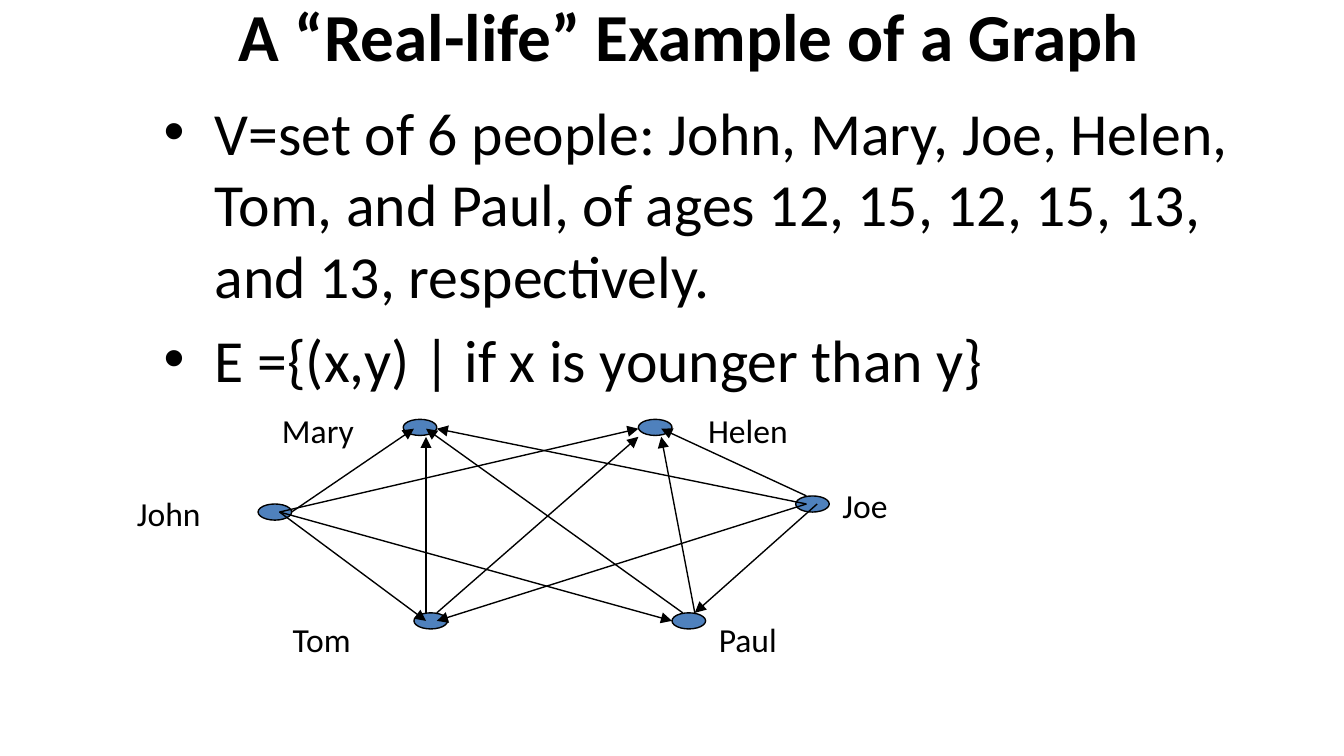
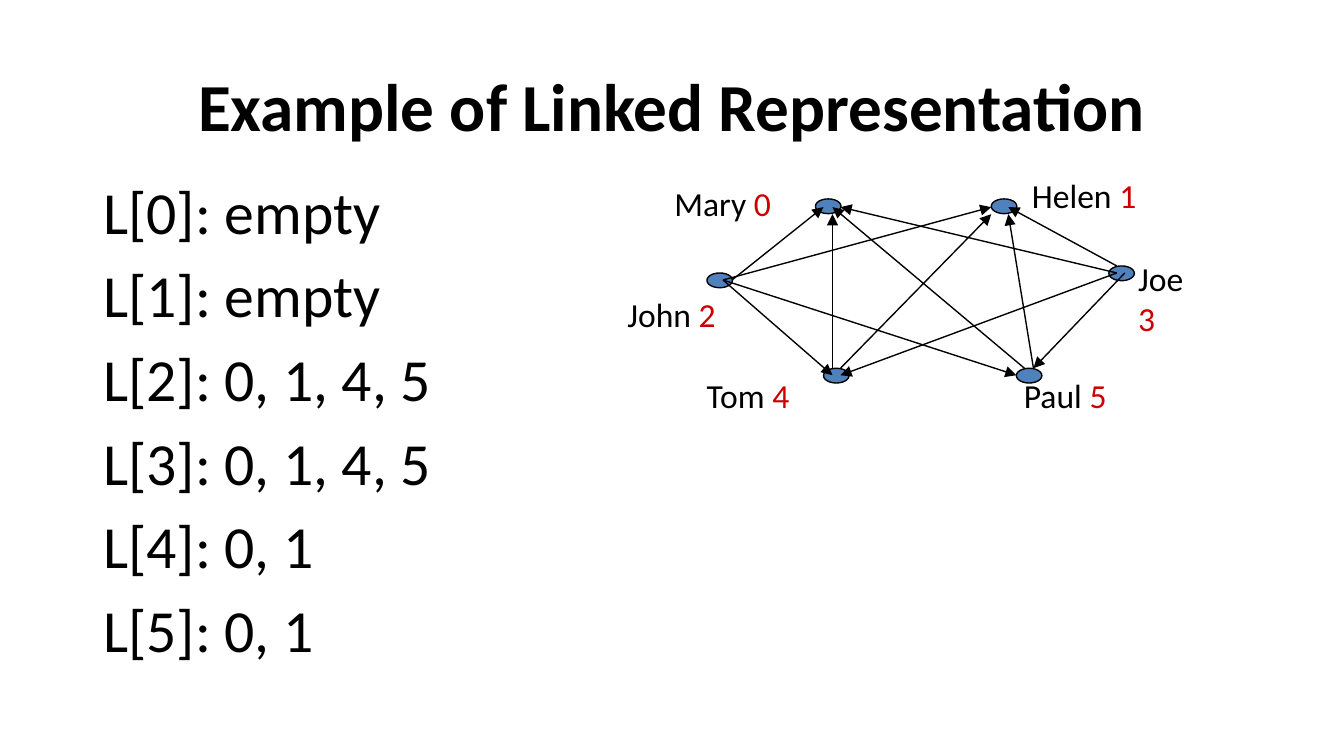
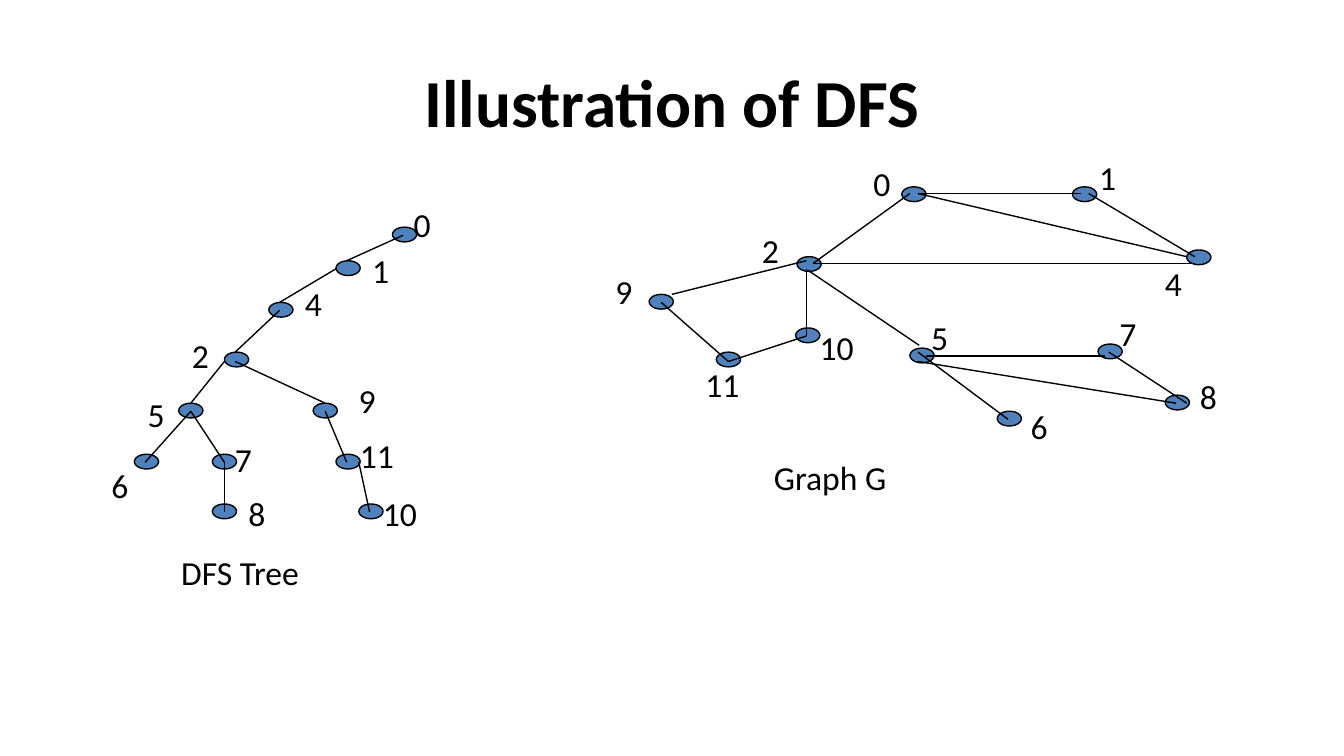
from lxml import etree
from pptx import Presentation
from pptx import util as u
from pptx.dml.color import RGBColor
from pptx.enum import shapes, text
from pptx.oxml import ns

# Shared style
FONT = "Calibri"
BLACK = RGBColor(0x00, 0x00, 0x00)
BLUE = RGBColor(0x4F, 0x81, 0xBD)
RED = RGBColor(0xCC, 0x00, 0x00)
TITLE_SIZE, BODY_SIZE, LABEL_SIZE = 36, 32, 18
LINE_WIDTH = u.Pt(0.75)
HANG = u.Inches(0.38)
LABEL_HEIGHT = 0.4

# Age graph: top left corner of each person's dot, in number order
PEOPLE = {
    "Mary": (3, 3.12), "Helen": (4.75, 3.12), "John": (1.92, 3.75),
    "Joe": (5.92, 3.69), "Tom": (3.08, 4.56), "Paul": (5, 4.56),
}
# Arrows from the younger to the older person
YOUNGER_THAN = [
    ((2.17, 3.81), (3.08, 3.19)), ((2.08, 3.81), (4.75, 3.19)),
    ((6, 3.69), (4.92, 3.19)), ((6, 3.75), (3.25, 3.19)),
    ((2.08, 3.81), (3.17, 4.62)), ((2.08, 3.81), (5, 4.62)),
    ((6, 3.75), (3.25, 4.62)), ((6.08, 3.75), (5.17, 4.56)),
    ((3.17, 4.56), (3.17, 3.25)), ((5.17, 4.56), (4.92, 3.25)),
    ((3.25, 4.56), (4.75, 3.25)), ((5.08, 4.56), (3.17, 3.19)),
]
# Label boxes: left, top, width
NAME_LABELS = {
    "Mary": (2, 3, 0.74), "Helen": (5.17, 3, 0.8), "John": (0.92, 3.62, 0.68),
    "Joe": (6.17, 3.56, 0.54), "Tom": (2.08, 4.56, 0.64), "Paul": (5.25, 4.56, 0.64),
}
NUMBERED_LABELS = {
    "Mary": (4.92, 1.31, 0.93), "Helen": (7.58, 1.25, 0.99), "John": (4.57, 2.14, 0.87),
    "Joe": (8.37, 1.87, 0.67), "Tom": (5.16, 2.74, 0.82), "Paul": (7.52, 2.74, 1.04),
}
WRAPPED_LABELS = ("Joe", "Paul")

# Graph G and its DFS tree: number -> (dot corner, label corner)
GRAPH_NODES = {
    0: ((6.71, 1.39), (6.4, 1.16)), 1: ((7.98, 1.39), (8.08, 1.12)),
    2: ((5.93, 1.91), (5.57, 1.66)), 4: ((8.83, 1.86), (8.57, 1.91)),
    5: ((6.77, 2.59), (6.83, 2.31)), 6: ((7.42, 3.06), (7.57, 2.97)),
    7: ((8.17, 2.56), (8.23, 2.28)), 8: ((8.67, 2.94), (8.83, 2.75)),
    9: ((4.83, 2.19), (4.48, 1.97)), 10: ((5.92, 2.44), (6, 2.38)),
    11: ((5.33, 2.62), (5.15, 2.66)),
}
GRAPH_EDGES = [
    ((6.83, 1.44), (8.04, 1.44)), ((6.05, 1.96), (8.89, 1.96)),
    ((6.05, 1.96), (6.77, 1.44)), ((8.1, 1.44), (8.89, 1.91)),
    ((6.89, 2.65), (8.22, 2.65)), ((6.83, 1.44), (8.83, 1.91)),
    ((6.84, 2.57), (6.01, 2.01)), ((8.25, 2.62), (8.83, 3)),
    ((6.83, 2.62), (7.5, 3.12)), ((6.83, 2.69), (8.75, 3)),
    ((6, 1.94), (5, 2.19)), ((6, 2), (6, 2.5)),
    ((4.92, 2.25), (5.42, 2.69)), ((6, 2.5), (5.42, 2.69)),
]
TREE_NODES = {
    0: ((2.92, 1.69), (2.98, 1.47)), 1: ((2.5, 1.94), (2.67, 1.81)),
    4: ((2, 2.25), (2.17, 2.06)), 2: ((1.67, 2.62), (1.33, 2.44)),
    5: ((1.33, 3), (1, 2.88)), 9: ((2.33, 3), (2.57, 2.78)),
    6: ((1, 3.38), (0.73, 3.41)), 7: ((1.58, 3.38), (1.65, 3.22)),
    8: ((1.58, 3.75), (1.75, 3.62)), 11: ((2.5, 3.38), (2.58, 3.19)),
    10: ((2.67, 3.75), (2.75, 3.62)),
}
TREE_EDGES = [
    ((2.58, 1.94), (3, 1.75)), ((2.08, 2.25), (2.5, 2)),
    ((2.08, 2.31), (1.75, 2.62)), ((1.42, 3), (1.67, 2.69)),
    ((1.08, 3.44), (1.42, 3.06)), ((1.42, 3.06), (1.67, 3.44)),
    ((1.67, 3.44), (1.67, 3.81)), ((1.75, 2.69), (2.42, 3)),
    ((2.42, 3.06), (2.58, 3.44)), ((2.67, 3.44), (2.75, 3.81)),
]


def inches(*values):
    return [u.Inches(v) for v in values]


def add_run(p, words, size, color=BLACK, bold=False):
    r = p.add_run()
    r.text = words
    r.font.name = FONT
    r.font.size = u.Pt(size)
    r.font.bold = bold
    r.font.color.rgb = color


def add_box(s, box, wrap=True):
    tf = s.shapes.add_textbox(*inches(*box)).text_frame
    tf.word_wrap = wrap
    return tf


def add_title(s, words, box):
    tf = add_box(s, box)
    tf.vertical_anchor = text.MSO_ANCHOR.MIDDLE
    p = tf.paragraphs[0]
    p.alignment = text.PP_ALIGN.CENTER
    add_run(p, words, TITLE_SIZE, bold=True)


def add_body(s, lines, box, bullet=False):
    tf = add_box(s, box)
    for i, line in enumerate(lines):
        p = tf.add_paragraph() if i else tf.paragraphs[0]
        pPr = p._p.get_or_add_pPr()
        pPr.set("marL", str(HANG))
        pPr.set("indent", str(-HANG))
        if bullet:
            etree.SubElement(pPr, ns.qn("a:buFont")).set("typeface", "Arial")
            etree.SubElement(pPr, ns.qn("a:buChar")).set("char", "•")
        if i:
            p.space_before = u.Pt(0.2 * BODY_SIZE)
        add_run(p, line, BODY_SIZE)


def add_label(s, words, left, top, width, number=None, wrap=False):
    tf = add_box(s, (left, top, width, LABEL_HEIGHT), wrap)
    tf.auto_size = text.MSO_AUTO_SIZE.SHAPE_TO_FIT_TEXT
    p = tf.paragraphs[0]
    if number is None:
        add_run(p, words, LABEL_SIZE)
    else:
        add_run(p, words + " ", LABEL_SIZE)
        add_run(p, str(number), LABEL_SIZE, RED)


def add_dot(s, corner, size):
    sp = s.shapes.add_shape(shapes.MSO_SHAPE.OVAL, *inches(*corner, *size))
    sp.shadow.inherit = False
    sp.fill.solid()
    sp.fill.fore_color.rgb = BLUE
    sp.line.color.rgb = BLACK
    sp.line.width = LINE_WIDTH


def add_edge(s, start, end, arrow):
    c = s.shapes.add_connector(shapes.MSO_CONNECTOR.STRAIGHT, *inches(*start, *end))
    c.line.color.rgb = BLACK
    c.line.width = LINE_WIDTH
    if arrow:
        etree.SubElement(c.line._get_or_add_ln(), ns.qn("a:tailEnd")).set("type", "triangle")
    etree.SubElement(c._element.spPr, ns.qn("a:effectLst"))


def add_graph(s, dots, edges, dot_size, arrow=False):
    for corner in dots:
        add_dot(s, corner, dot_size)
    for start, end in edges:
        add_edge(s, start, end, arrow)


def add_numbered_graph(s, nodes, edges):
    add_graph(s, [dot for dot, _ in nodes.values()], edges, (0.18, 0.11))
    for number, (_, corner) in nodes.items():
        digits = str(number)
        add_label(s, digits, *corner, 0.2 + 0.13 * len(digits))


def shrink(point):
    """Move a point of the age graph to its smaller version."""
    x, y = point
    return 5.26 + (x - 1.92) * 2.99 / 4, 1.48 + (y - 3.12) * 7 / 8


def real_life_slide(s):
    add_title(s, "A “Real-life” Example of a Graph", (0.88, 0.01, 8.5, 0.49))
    add_body(s, [
        "V=set of 6 people: John, Mary, Joe, Helen, Tom, and Paul, "
        "of ages 12, 15, 12, 15, 13, and 13, respectively.",
        "E ={(x,y) | if x is younger than y}",
    ], (1.12, 0.66, 8.5, 3.75), bullet=True)
    add_graph(s, PEOPLE.values(), YOUNGER_THAN, (0.25, 0.12), arrow=True)
    for name, place in NAME_LABELS.items():
        add_label(s, name, *place)


def linked_slide(s):
    add_title(s, "Example of Linked Representation", (0.75, 0.5, 8.5, 0.56))
    lists = ["empty", "empty", "0, 1, 4, 5", "0, 1, 4, 5", "0, 1", "0, 1"]
    add_body(s, [f"L[{i}]: {items}" for i, items in enumerate(lists)],
             (0.67, 1.25, 8.5, 3.75))
    add_graph(s, map(shrink, PEOPLE.values()),
              [(shrink(a), shrink(b)) for a, b in YOUNGER_THAN], (0.19, 0.11), arrow=True)
    for number, (name, place) in enumerate(NUMBERED_LABELS.items()):
        add_label(s, name, *place, number=number, wrap=name in WRAPPED_LABELS)


def dfs_slide(s):
    add_title(s, "Illustration of DFS", (0.75, 0.5, 8.5, 0.5))
    add_numbered_graph(s, GRAPH_NODES, GRAPH_EDGES)
    add_label(s, "Graph G", 5.66, 3.35, 1.05)
    add_numbered_graph(s, TREE_NODES, TREE_EDGES)
    add_label(s, "DFS Tree", 1.25, 4.06, 1.09)


def main():
    prs = Presentation()
    # Widescreen, 16:9
    prs.slide_width = u.Inches(10)
    prs.slide_height = u.Inches(10 * 9 / 16)
    for build in (real_life_slide, linked_slide, dfs_slide):
        build(prs.slides.add_slide(prs.slide_layouts[6]))
    prs.save("out.pptx")


if __name__ == "__main__":
    main()
